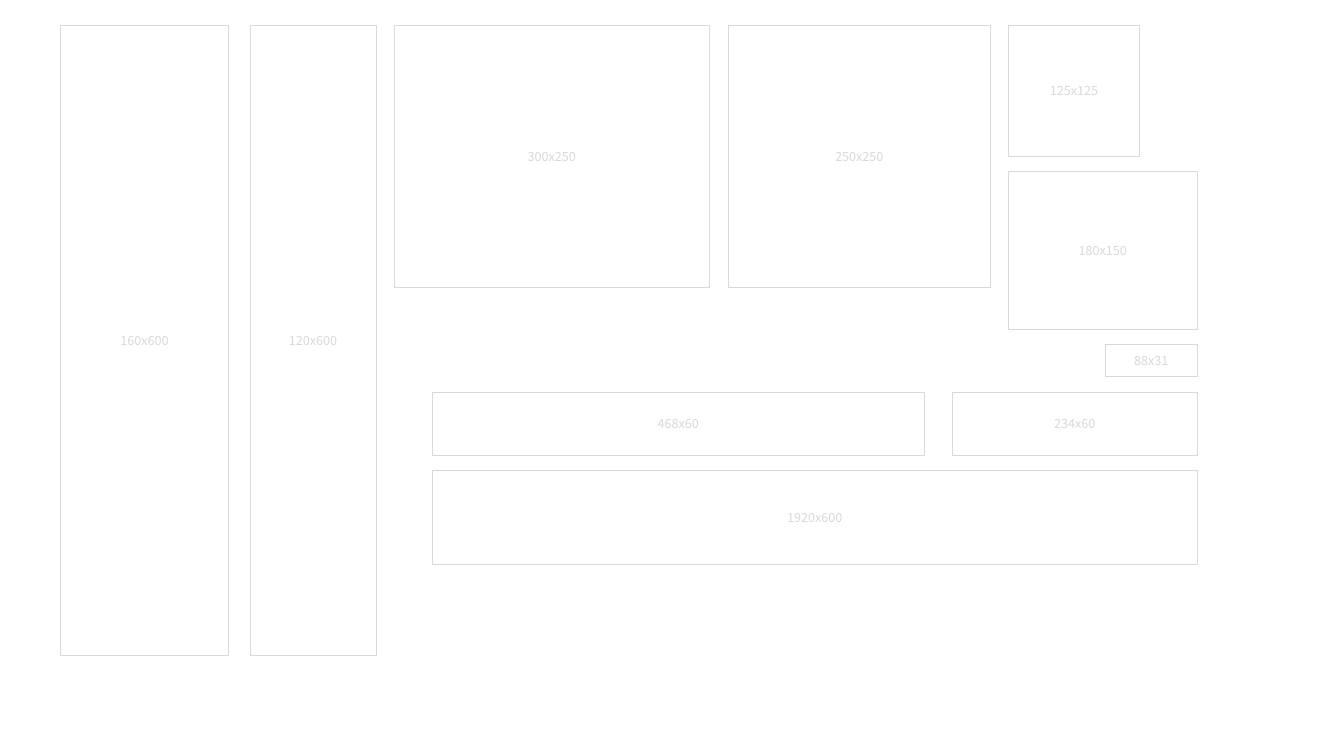
from dataclasses import dataclass

from pptx import Presentation
from pptx.dml.color import RGBColor as Rgb
from pptx.enum.shapes import MSO_SHAPE as Kind
from pptx.enum.text import MSO_ANCHOR as Anchor, PP_ALIGN as Align
from pptx.util import Inches, Pt


@dataclass(frozen=True)
class Theme:
    """Colours, type and spacing of the slide."""
    paper: Rgb = Rgb(0xFF, 0xFF, 0xFF)
    grey: Rgb = Rgb(0xD9, 0xD9, 0xD9)
    font: str = "Noto Sans CJK KR"
    size: float = 9
    line: float = 0.25
    gap: float = 0.15
    dpi: int = 96


THEME = Theme()


def write(shape, text, size=THEME.size, color=THEME.grey, align=Align.CENTER):
    """Put formatted text in the middle of a shape."""
    frame = shape.text_frame
    frame.word_wrap = True
    frame.vertical_anchor = Anchor.MIDDLE
    para = frame.paragraphs[0]
    para.alignment = align
    run = para.add_run()
    run.text = text
    run.font.name = THEME.font
    run.font.size = Pt(size)
    run.font.color.rgb = color


def add_ad(slide, left, top, wide, high, label=None):
    """Draw an ad frame sized in pixels; return its bottom in inches."""
    width, height = wide / THEME.dpi, high / THEME.dpi
    box = slide.shapes.add_shape(
        Kind.RECTANGLE, Inches(left), Inches(top), Inches(width), Inches(height))
    box.shadow.inherit = False
    box.fill.solid()
    box.fill.fore_color.rgb = THEME.paper
    box.line.color.rgb = THEME.grey
    box.line.width = Pt(THEME.line)
    write(box, label or f"{wide}x{high}")
    return top + height


def add_row(slide, left, top, ads):
    """Set ads (offset, width, height) side by side; return the lowest bottom."""
    return max(add_ad(slide, left + step, top, wide, high)
               for step, wide, high in ads)


def add_stack(slide, left, top, ads):
    """Set ads (offset, width, height) in a column; return the next free top."""
    for step, wide, high in ads:
        top = add_ad(slide, left + step, top, wide, high) + THEME.gap
    return top


def add_strips(slide, left, top):
    """Set the two short banners above the wide one."""
    low = add_row(slide, left, top, [(0, 468, 60), (5.15, 234, 60)])
    add_ad(slide, left, low + THEME.gap, 728, 90, label="1920x600")


def main():
    """Build the sheet of ad sizes."""
    deck = Presentation()
    deck.slide_width, deck.slide_height = Inches(13.33), Inches(7.5)
    slide = deck.slides.add_slide(deck.slide_layouts[6])
    top = 0.25
    add_row(slide, 0.6, top, [(0, 160, 600), (1.88, 120, 600)])
    add_row(slide, 3.91, top, [(0, 300, 250), (3.31, 250, 250)])
    low = add_stack(slide, 10, top,
                    [(0, 125, 125), (0, 180, 150), (0.96, 88, 31)])
    add_strips(slide, 4.29, low)
    deck.save("out.pptx")


main()
